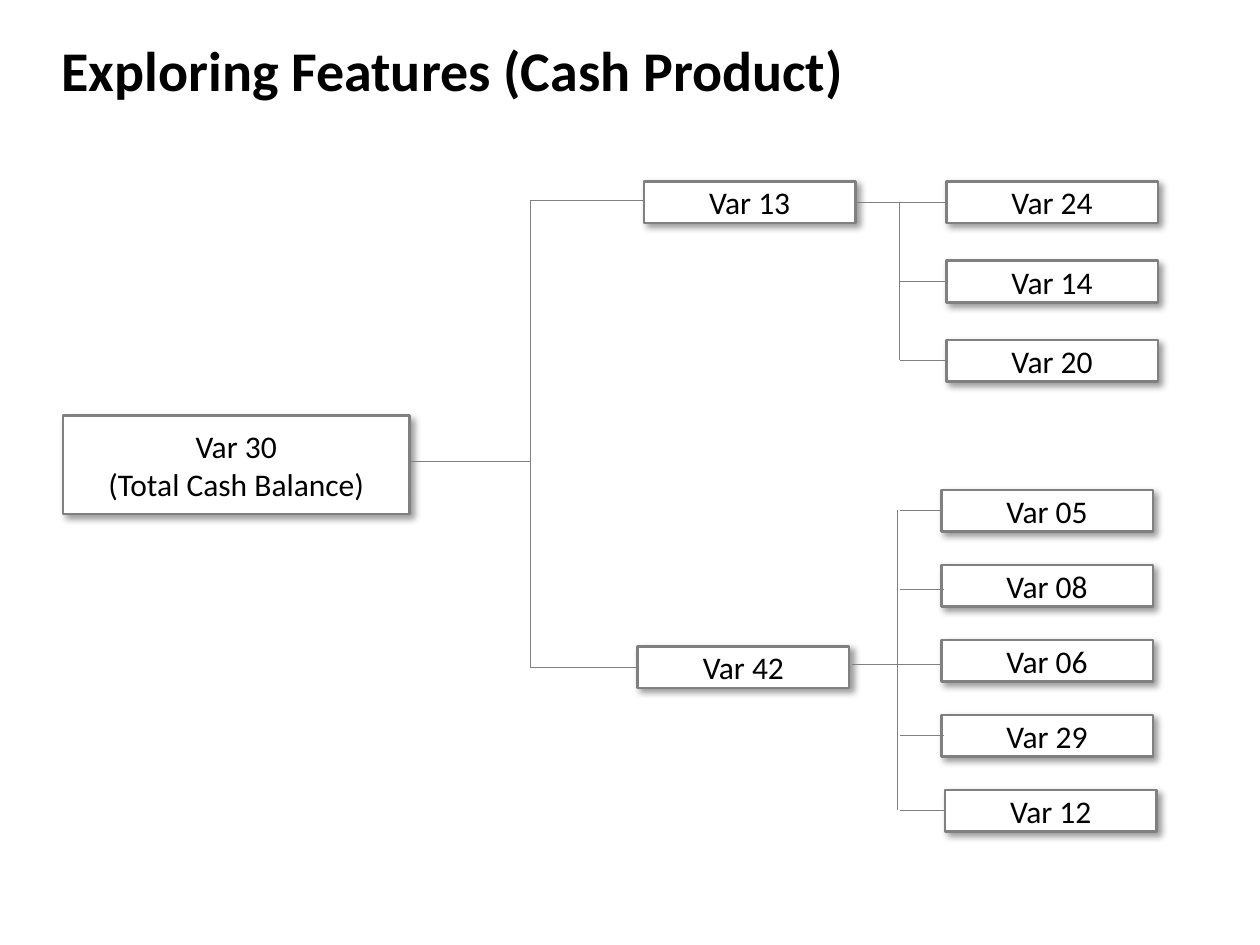
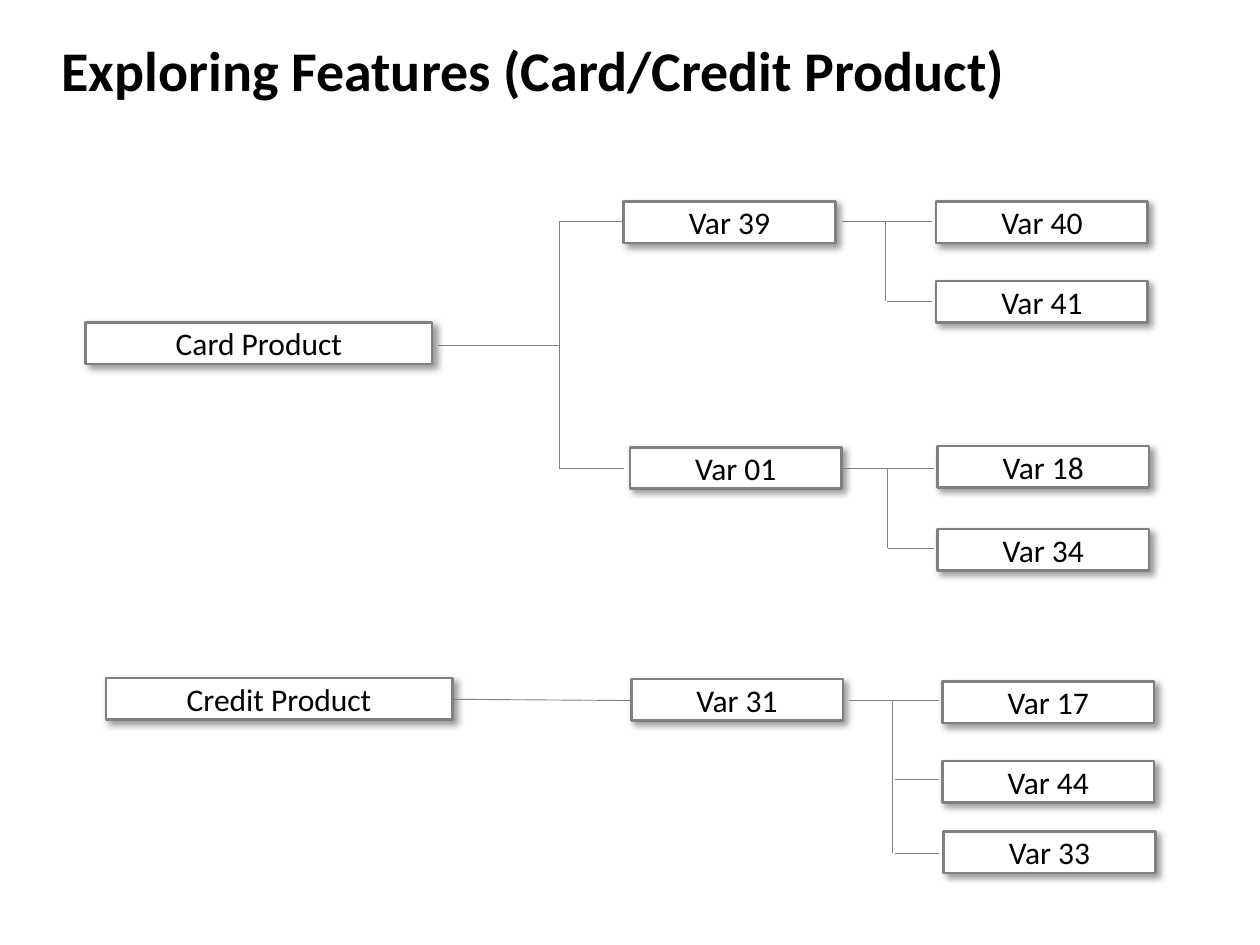
from dataclasses import dataclass

from lxml import etree
from pptx import Presentation
from pptx.dml.color import RGBColor
from pptx.enum.shapes import MSO_CONNECTOR, MSO_SHAPE
from pptx.enum.text import MSO_ANCHOR, MSO_AUTO_SIZE, PP_ALIGN
from pptx.oxml.ns import qn
from pptx.slide import Slide
from pptx.util import Inches, Pt

RECT = MSO_SHAPE.RECTANGLE
STRAIGHT = MSO_CONNECTOR.STRAIGHT
MIDDLE = MSO_ANCHOR.MIDDLE
FIT_SHAPE = MSO_AUTO_SIZE.SHAPE_TO_FIT_TEXT
CENTER, LEFT = PP_ALIGN.CENTER, PP_ALIGN.LEFT


@dataclass(frozen=True)
class Theme:
    ink: RGBColor = RGBColor(0, 0, 0)
    paper: RGBColor = RGBColor(255, 255, 255)
    edge: RGBColor = RGBColor(128, 128, 128)
    font: str = "Calibri"
    title_size: Pt = Pt(32)
    box_size: Pt = Pt(18)
    box_edge: Pt = Pt(1.5)
    link_edge: Pt = Pt(0.5)


THEME = Theme()
TITLE_FORMAT = {"name": THEME.font, "size": THEME.title_size, "bold": True}
BOX_FORMAT = {"name": THEME.font, "size": THEME.box_size, "bold": False}
VAR_W, ROOT_W, BOX_H = 1.68, 2.75, 0.33


@dataclass(frozen=True)
class Stack:
    """Equal boxes, one below the other."""
    left: float
    top: float
    labels: tuple[str, ...]
    pitch: float = 0
    width: float = VAR_W
    height: float = BOX_H


@dataclass(frozen=True)
class Bracket:
    """A stem that meets a spine, with (y, end x) branches off the spine."""
    stem_x: float
    stem_y: float
    spine_x: float
    branches: tuple[tuple[float, float], ...]
    gap: float = 0


@dataclass(frozen=True)
class Tree:
    title: str
    title_w: float
    stacks: tuple[Stack, ...]
    brackets: tuple[Bracket, ...]
    links: tuple[tuple[float, float, float, float], ...] = ()


def fan(end: float, *ys: float) -> tuple[tuple[float, float], ...]:
    return tuple((y, end) for y in ys)


TREES = (
    Tree(
        "Exploring Features (Cash Product)", 6.46,
        stacks=(
            Stack(0.5, 3.3, ("Var 30\n(Total Cash Balance)",), width=ROOT_W, height=0.78),
            Stack(5.11, 1.44, ("Var 13",)),
            Stack(7.51, 1.44, ("Var 24", "Var 14", "Var 20"), 0.63),
            Stack(5.06, 5.13, ("Var 42",)),
            Stack(7.47, 3.89, ("Var 05", "Var 08", "Var 06", "Var 29"), 0.595),
            Stack(7.5, 6.27, ("Var 12",)),
        ),
        brackets=(
            Bracket(3.25, 3.66, 4.21, ((1.59, 5.11), (5.3, 5.06))),
            Bracket(6.79, 1.61, 7.14, fan(7.51, 1.61, 2.23, 2.86)),
            Bracket(6.76, 5.27, 7.12, ((4.05, 7.47), (4.68, 7.49), (5.27, 7.47),
                                       (5.84, 7.49), (6.43, 7.5)), gap=0.02),
        ),
    ),
    Tree(
        "Exploring Features (Card/Credit Product)", 7.76,
        stacks=(
            Stack(0.68, 2.56, ("Card Product",), width=ROOT_W),
            Stack(4.95, 1.6, ("Var 39",)),
            Stack(7.43, 1.6, ("Var 40", "Var 41"), 0.63),
            Stack(5, 3.55, ("Var 01",)),
            Stack(7.44, 3.54, ("Var 18", "Var 34"), 0.66),
            Stack(0.84, 5.38, ("Credit Product",), width=ROOT_W),
            Stack(5.01, 5.39, ("Var 31",)),
            Stack(7.48, 5.41, ("Var 17", "Var 44"), 0.63),
            Stack(7.49, 6.6, ("Var 33",)),
        ),
        brackets=(
            Bracket(3.48, 2.74, 4.44, fan(4.95, 1.76, 3.72)),
            Bracket(6.68, 1.76, 7.03, fan(7.4, 1.76, 2.39), gap=0.01),
            Bracket(6.69, 3.72, 7.04, fan(7.41, 3.72, 4.35), gap=0.01),
            Bracket(6.74, 5.56, 7.08, fan(7.45, 5.56, 6.19, 6.77), gap=0.02),
        ),
        links=((3.6, 5.55, 5.01, 5.56),),
    ),
)


def write(tf, text: str, fmt: dict, align) -> None:
    for i, line in enumerate(text.split("\n")):
        p = tf.paragraphs[0] if i == 0 else tf.add_paragraph()
        p.alignment = align
        r = p.add_run()
        r.text = line
        for key, value in fmt.items():
            setattr(r.font, key, value)
        r.font.color.rgb = THEME.ink


def add_title(s: Slide, text: str, width: float) -> None:
    sp = s.shapes.add_textbox(Inches(0.39), Inches(0.23), Inches(width), Inches(0.64))
    tf = sp.text_frame
    tf.word_wrap = False
    tf.auto_size = FIT_SHAPE
    write(tf, text, TITLE_FORMAT, LEFT)


def add_shadow(sp) -> None:
    sp.shadow.inherit = False
    effects = sp._element.spPr.find(qn("a:effectLst"))
    outer = etree.SubElement(effects, qn("a:outerShdw"), blurRad=str(Pt(4)),
                             dist=str(Pt(3)), dir="2700000", algn="tl", rotWithShape="0")
    color = etree.SubElement(outer, qn("a:srgbClr"), val=str(THEME.ink))
    etree.SubElement(color, qn("a:alpha"), val="40000")


def add_stack(s: Slide, stack: Stack) -> None:
    for i, label in enumerate(stack.labels):
        sp = s.shapes.add_shape(RECT, Inches(stack.left), Inches(stack.top + i * stack.pitch),
                                Inches(stack.width), Inches(stack.height))
        sp.fill.solid()
        sp.fill.fore_color.rgb = THEME.paper
        sp.line.color.rgb = THEME.edge
        sp.line.width = THEME.box_edge
        add_shadow(sp)
        sp.text_frame.vertical_anchor = MIDDLE
        write(sp.text_frame, label, BOX_FORMAT, CENTER)


def add_link(s: Slide, x1: float, y1: float, x2: float, y2: float) -> None:
    sp = s.shapes.add_connector(STRAIGHT, *(Inches(v) for v in (x1, y1, x2, y2)))
    sp.line.color.rgb = THEME.edge
    sp.line.width = THEME.link_edge
    etree.SubElement(sp._element.spPr, qn("a:effectLst"))


def add_bracket(s: Slide, b: Bracket) -> None:
    # A branch level with the stem continues it as one line
    ends = dict(b.branches)
    add_link(s, b.stem_x, b.stem_y, ends.pop(b.stem_y, b.spine_x), b.stem_y)
    ys = [y for y, _ in b.branches]
    add_link(s, b.spine_x, min(ys), b.spine_x, max(ys))
    for y, end in ends.items():
        add_link(s, b.spine_x + b.gap, y, end, y)


def main() -> None:
    prs = Presentation()
    prs.slide_width, prs.slide_height = Inches(10), Inches(7.5)
    for tree in TREES:
        s = prs.slides.add_slide(prs.slide_layouts[6])
        add_title(s, tree.title, tree.title_w)
        # Boxes first, so that the lines lie on top
        for stack in tree.stacks:
            add_stack(s, stack)
        for bracket in tree.brackets:
            add_bracket(s, bracket)
        for link in tree.links:
            add_link(s, *link)
    prs.save("out.pptx")


if __name__ == "__main__":
    main()
